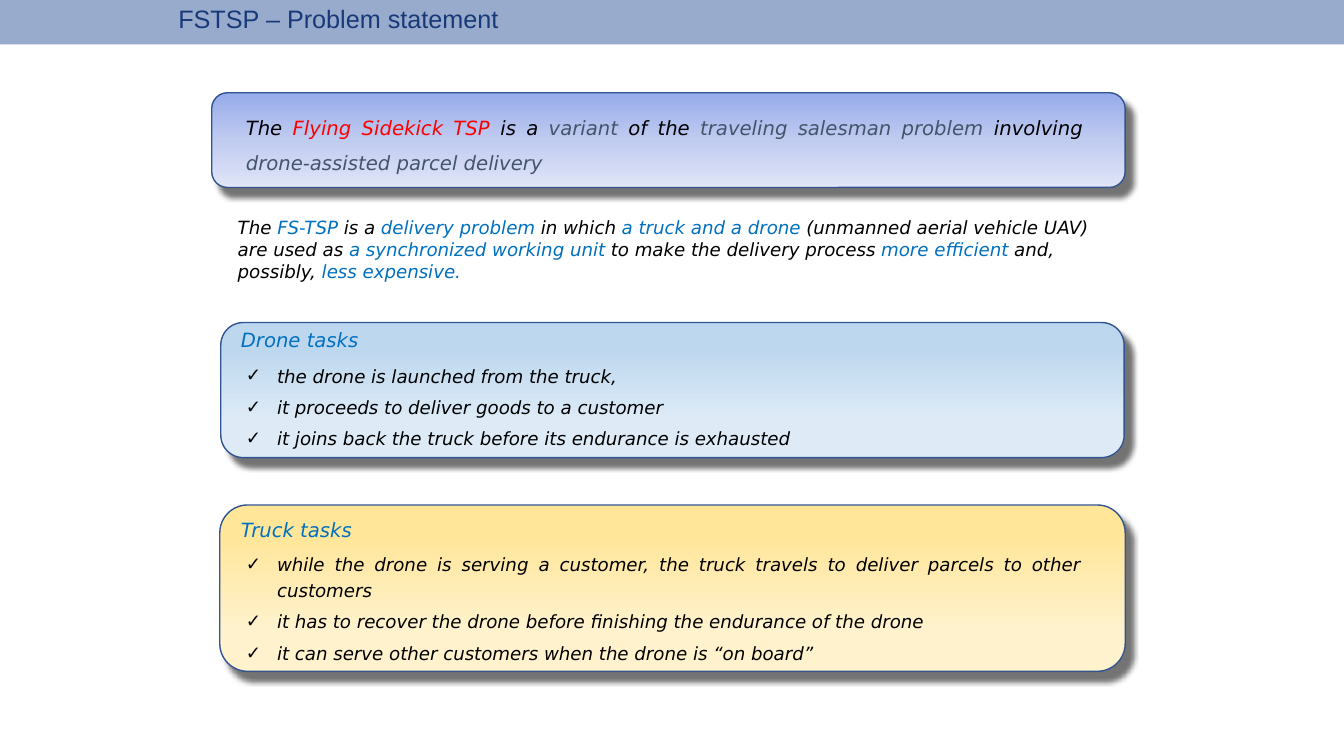
from lxml import etree
from pptx import Presentation
from pptx.dml.color import RGBColor
from pptx.enum import shapes, text
from pptx.oxml import ns, parse_xml
from pptx.util import Inches, Pt

# Content
BLACK, RED, SLATE, BLUE, NAVY = "000000", "FF0000", "44546A", "0070C0", "002060"
TITLE = [("FSTSP – Problem statement", NAVY)]
DEFINITION = [
    ("The ", BLACK), ("Flying Sidekick TSP ", RED), ("is a ", BLACK),
    ("variant", SLATE), (" of the ", BLACK),
    ("traveling salesman problem", SLATE), (" involving ", BLACK),
    ("drone-assisted parcel delivery", SLATE),
]
EXPLANATION = [
    ("The ", BLACK), ("FS-TSP", BLUE), (" is a ", BLACK),
    ("delivery problem ", BLUE), ("in which ", BLACK),
    ("a truck and a drone ", BLUE),
    ("(unmanned aerial vehicle UAV) are used as ", BLACK),
    ("a synchronized working unit ", BLUE),
    ("to make the delivery process ", BLACK), ("more efficient", BLUE),
    (" and, possibly, ", BLACK), ("less expensive.", BLUE),
]
# Cards: left, top, width, height, gradient stops
CARDS = [
    (2.18, 5.01, 8.98, 1.65,
     [(0, "FFE699"), (18, "FFE699"), (74, "FFF2CC"), (99, "FFF2CC")]),
    (2.19, 3.2, 8.96, 1.34,
     [(0, "BDD7EE"), (18, "BDD7EE"), (74, "DEEBF7"), (99, "DEEBF7")]),
    (2.1, 0.92, 9.06, 0.94,
     [(0, "96ABEA"), (50, "C0CBF0"), (100, "E0E5F7")]),
]
# Tasks: heading, its top, then (top, height, line spacing, wording)
TASKS = [
    ("Drone tasks", 3.2, [
        (3.44, 0.55, 25, "the drone is launched from the truck,"),
        (3.75, 0.47, 25, "it proceeds to deliver goods to a customer"),
        (4.06, 0.47, 25, "it joins back the truck before its endurance is exhausted"),
    ]),
    ("Truck tasks", 5.09, [
        (5.41, 0.55, 18, "while the drone is serving a customer, the truck travels "
                         "to deliver parcels to other customers"),
        (5.88, 0.47, 25, "it has to recover the drone before finishing the "
                         "endurance of the drone"),
        (6.19, 0.47, 25, "it can serve other customers when the drone is “on board”"),
    ]),
]
JUSTIFY = text.PP_ALIGN.JUSTIFY
A = f'xmlns:a="{ns.nsuri("a")}"'


def colour(value):
    return RGBColor.from_string(value)


def place(area):
    return [Inches(length) for length in area]


def add_card(page, left, top, width, height, stops):
    card = page.shapes.add_shape(shapes.MSO_SHAPE.ROUNDED_RECTANGLE,
                                 *place((left, top, width, height)))
    card.line.color.rgb = colour("325491")
    card.line.width = Pt(1)
    marks = "".join(f'<a:gs pos="{at * 1000}"><a:srgbClr val="{value}"/></a:gs>'
                    for at, value in stops)
    card.fill.background()
    properties = card._element.spPr
    blank = properties.find(ns.qn("a:noFill"))
    properties.replace(blank, parse_xml(
        f'<a:gradFill {A} rotWithShape="1"><a:gsLst>{marks}</a:gsLst>'
        '<a:lin ang="5400000" scaled="0"/></a:gradFill>'))
    properties.append(parse_xml(
        f'<a:effectLst {A}><a:outerShdw blurRad="{Pt(4)}" dist="{Pt(8)}" '
        f'dir="{52 * 60000}" algn="tl" rotWithShape="0"><a:srgbClr val="000000">'
        '<a:alpha val="55000"/></a:srgbClr></a:outerShdw></a:effectLst>'))


def add_text(page, area, spans, size, name="DejaVu Sans", italic=True,
             anchor=text.MSO_ANCHOR.TOP, **layout):
    box = page.shapes.add_textbox(*place(area))
    frame = box.text_frame
    frame.word_wrap = True
    frame.vertical_anchor = anchor
    para = frame.paragraphs[0]
    for key, value in layout.items():
        setattr(para, key, value)
    font = {"size": Pt(size), "name": name, "italic": italic}
    for wording, value in spans:
        span = para.add_run()
        span.text = wording
        for key, setting in font.items():
            setattr(span.font, key, setting)
        span.font.color.rgb = colour(value)
    return para


def add_check(para):
    properties = para._p.get_or_add_pPr()
    indent = Inches(0.31)
    properties.set("marL", str(indent))
    properties.set("indent", str(-indent))
    etree.SubElement(properties, ns.qn("a:buFont"), typeface="DejaVu Sans")
    etree.SubElement(properties, ns.qn("a:buChar"), char="✓")


def main():
    deck = Presentation()
    deck.slide_width, deck.slide_height = Inches(13.33), Inches(7.5)
    page = deck.slides.add_slide(deck.slide_layouts[6])

    # Shaded cards
    for card in CARDS:
        add_card(page, *card)

    # Definition and explanation
    add_text(page, (2.34, 0.99, 8.5, 0.71), DEFINITION, 14,
             alignment=JUSTIFY, line_spacing=Pt(25))
    add_text(page, (2.26, 2.1, 8.9, 0.76), EXPLANATION, 13)

    # Task lists
    for heading, heading_top, items in TASKS:
        add_text(page, (2.29, heading_top, 4.69, 0.47), [(heading, BLUE)], 14,
                 space_before=Pt(2.8))
        for top, height, spacing, wording in items:
            add_check(add_text(page, (2.34, top, 8.47, height), [(wording, BLACK)],
                               13, alignment=JUSTIFY, line_spacing=Pt(spacing)))

    # Title under a translucent band
    add_text(page, (1.67, 0, 9.22, 0.36), TITLE, 18, name="Arial", italic=False,
             anchor=text.MSO_ANCHOR.MIDDLE)
    band = page.shapes.add_shape(shapes.MSO_SHAPE.RECTANGLE,
                                 *place((0, 0, 13.33, 0.44)))
    band.shadow.inherit = False
    band.line.fill.background()
    band.fill.solid()
    band.fill.fore_color.rgb = colour("2F5597")
    tint = band._element.spPr.find(".//" + ns.qn("a:srgbClr"))
    etree.SubElement(tint, ns.qn("a:alpha"), val="49000")

    deck.save("out.pptx")


if __name__ == "__main__":
    main()
